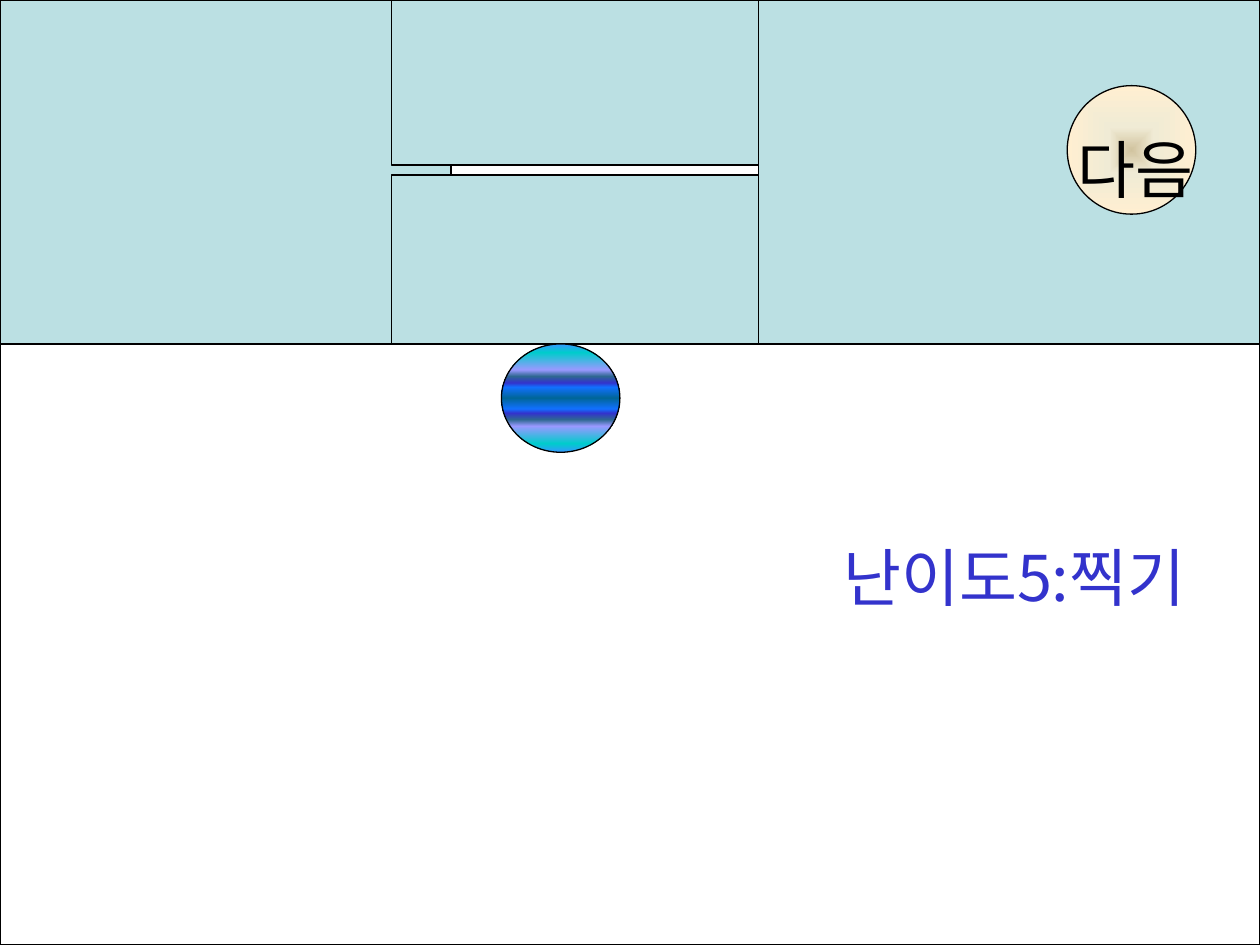
from lxml import etree
from pptx import Presentation
from pptx import util as u
from pptx.dml.color import RGBColor
from pptx.enum import shapes, text
from pptx.oxml import ns

Inches = u.Inches
WHITE = RGBColor(0xFF, 0xFF, 0xFF)
BLACK = RGBColor(0, 0, 0)
WALL_BLUE = RGBColor(0xBB, 0xE0, 0xE3)
TITLE_BLUE = RGBColor(0x33, 0x33, 0xCC)
FONT = "Noto Sans CJK KR"

prs = Presentation()
prs.slide_width, prs.slide_height = Inches(10), Inches(7.5)
slide = prs.slides.add_slide(prs.slide_layouts[5])


def add_outlined(kind, left, top, width, height, fill=None, stops=(), direction=None):
    """Add a black-outlined shape with a solid fill or gradient stops."""
    shape = slide.shapes.add_shape(
        kind, Inches(left), Inches(top), Inches(width), Inches(height))
    shape.shadow.inherit = False
    shape.line.color.rgb = BLACK
    shape.line.width = u.Pt(0.75)
    if fill is not None:
        shape.fill.solid()
        shape.fill.fore_color.rgb = fill
        return
    gradient = etree.Element(ns.qn("a:gradFill"), rotWithShape="1")
    stop_list = etree.SubElement(gradient, ns.qn("a:gsLst"))
    for percent, color in stops:
        stop = etree.SubElement(stop_list, ns.qn("a:gs"), pos=str(percent * 1000))
        etree.SubElement(stop, ns.qn("a:srgbClr"), val=color)
    gradient.append(direction)
    shape.element.spPr.find(ns.qn("a:prstGeom")).addnext(gradient)


def write_text(box, words, left, top, width, height, color, size=36):
    """Place a text holder and write one centred, unwrapped line in it."""
    box.left, box.top = Inches(left), Inches(top)
    box.width, box.height = Inches(width), Inches(height)
    frame = box.text_frame
    frame.auto_size = text.MSO_AUTO_SIZE.NONE
    frame.word_wrap = False
    frame.vertical_anchor = text.MSO_ANCHOR.TOP
    frame.margin_left = frame.margin_right = frame.margin_bottom = 0
    frame.margin_top = Inches(0.05)
    paragraph = frame.paragraphs[0]
    paragraph.alignment = text.PP_ALIGN.CENTER
    run = paragraph.add_run()
    run.text = words
    run.font.size = u.Pt(size)
    run.font.name = FONT
    run.font.color.rgb = color
    etree.SubElement(run.font._element, ns.qn("a:ea"), typeface=FONT)


# Floor and the walls around the narrow passage
RECT, OVAL = shapes.MSO_SHAPE.RECTANGLE, shapes.MSO_SHAPE.OVAL
add_outlined(RECT, 0, 0, 10, 7.5, WHITE)
walls = [(0, 0, 3.58, 2.73), (3.11, 0, 3.31, 1.31),
         (3.11, 1.39, 3.31, 1.34), (6.02, 0, 3.98, 2.73)]
for wall in walls:
    add_outlined(RECT, *wall, fill=WALL_BLUE)

# Level title, raised above the floor
title = slide.shapes.title
write_text(title, "난이도5:찍기", 6.57, 4.22, 2.96, 0.5, TITLE_BLUE)
title.element.getparent().append(title.element)

# Striped ball, with bands mirrored about its middle
half_bands = [(0, "3399FF"), (8, "00CCCC"), (24, "9999FF"),
              (30, "2E6792"), (36, "3333CC"), (40, "1170FF")]
mirrored = [(100 - percent, color) for percent, color in reversed(half_bands)]
downward = etree.Element(ns.qn("a:lin"), ang="5400000", scaled="1")
add_outlined(OVAL, 3.98, 2.73, 0.94, 0.86,
             stops=half_bands + [(50, "006699")] + mirrored, direction=downward)

# Goal button
from_centre = etree.Element(ns.qn("a:path"), path="shape")
etree.SubElement(from_centre, ns.qn("a:fillToRect"),
                 l="50000", t="50000", r="50000", b="50000")
add_outlined(OVAL, 8.47, 0.68, 1.02, 1.02,
             stops=[(0, "D1C39F"), (35, "F0EBD5"), (100, "FFEFD1")],
             direction=from_centre)
next_label = slide.shapes.add_textbox(0, 0, 0, 0)
write_text(next_label, "다음", 8.7, 0.99, 0.63, 0.41, BLACK)

prs.save("out.pptx")
